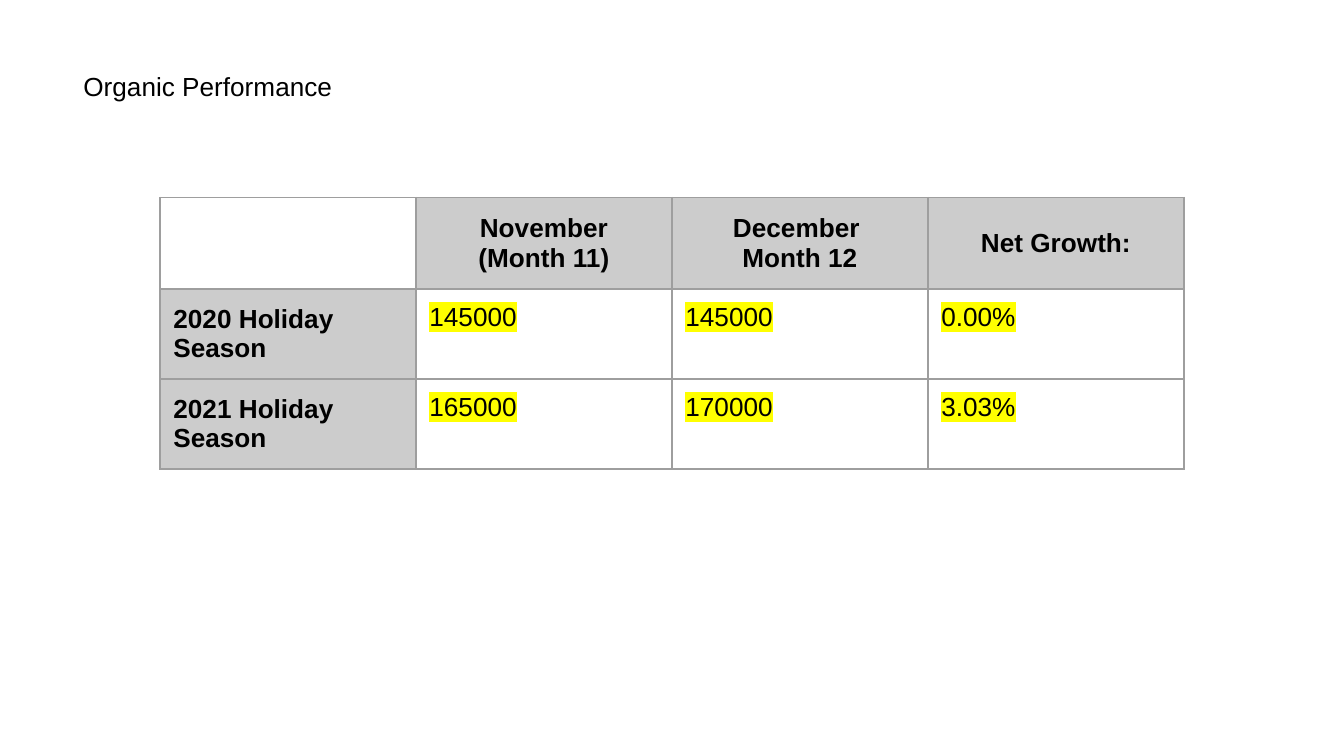
from lxml import etree
from pptx import Presentation
from pptx.dml.color import RGBColor
from pptx.enum.text import MSO_ANCHOR, MSO_AUTO_SIZE, PP_ALIGN
from pptx.oxml.ns import qn
from pptx.util import Inches, Pt

TOP, MIDDLE = MSO_ANCHOR.TOP, MSO_ANCHOR.MIDDLE
LEFT, CENTER = PP_ALIGN.LEFT, PP_ALIGN.CENTER
FIT_SHAPE = MSO_AUTO_SIZE.SHAPE_TO_FIT_TEXT
TITLE_ONLY = 5

BLACK = RGBColor(0x00, 0x00, 0x00)
HEADER_GRAY = RGBColor(0xCC, 0xCC, 0xCC)
BORDER_GRAY = RGBColor(0x9E, 0x9E, 0x9E)
YELLOW = RGBColor(0xFF, 0xFF, 0x00)
FONT_NAME, FONT_SIZE = "Arial", Pt(14)
BORDER_WIDTH = Pt(0.75)
INSET = Inches(0.1)
SLIDE_WIDTH = Inches(10)
SLIDE_HEIGHT = SLIDE_WIDTH * 9 // 16

ROWS = [
    ["", "November\n(Month 11)", "December \nMonth 12", "Net Growth:"],
    ["2020 Holiday Season", "145000", "145000", "0.00%"],
    ["2021 Holiday Season", "165000", "170000", "3.03%"],
]
ROW_HEIGHTS = [0.68, 0.67, 0.67]


def set_insets(holder):
    holder.margin_left = holder.margin_right = INSET
    holder.margin_top = holder.margin_bottom = INSET


def format_text(text_frame, alignment=LEFT, bold=False, highlight=None):
    for paragraph in text_frame.paragraphs:
        paragraph.alignment = alignment
        for run in paragraph.runs:
            run.font.name, run.font.size = FONT_NAME, FONT_SIZE
            run.font.bold = bold
            run.font.color.rgb = BLACK
            if highlight is not None:
                add_highlight(run, highlight)


def add_highlight(run, color):
    properties = run.font._element
    highlight = etree.Element(qn("a:highlight"))
    etree.SubElement(highlight, qn("a:srgbClr"), val=str(color))
    properties.find(qn("a:latin")).addprevious(highlight)


def add_borders(cell):
    properties = cell._tc.get_or_add_tcPr()
    for index, side in enumerate(("lnL", "lnR", "lnT", "lnB")):
        line = etree.Element(qn(f"a:{side}"), w=str(BORDER_WIDTH))
        fill = etree.SubElement(line, qn("a:solidFill"))
        etree.SubElement(fill, qn("a:srgbClr"), val=str(BORDER_GRAY))
        properties.insert(index, line)


def place_title(slide, left, top, width, height):
    title = slide.shapes.title
    title.left, title.top, title.width, title.height = left, top, width, height
    text_frame = title.text_frame
    text_frame.text = "Organic Performance"
    text_frame.word_wrap = True
    text_frame.auto_size = FIT_SHAPE
    text_frame.vertical_anchor = TOP
    set_insets(text_frame)
    format_text(text_frame)


def fill_cell(cell, text, row_index, column_index):
    is_header = bool(text) and (row_index == 0 or column_index == 0)
    cell.text = text
    set_insets(cell)
    if is_header:
        cell.fill.solid()
        cell.fill.fore_color.rgb = HEADER_GRAY
    else:
        cell.fill.background()
    cell.vertical_anchor = MIDDLE if is_header else TOP
    format_text(
        cell.text_frame,
        alignment=CENTER if row_index == 0 else LEFT,
        bold=is_header,
        highlight=None if is_header else YELLOW,
    )
    add_borders(cell)


def add_performance_table(slide, left, top, width, height):
    column_count = len(ROWS[0])
    frame = slide.shapes.add_table(len(ROWS), column_count, left, top, width, height)
    table = frame.table
    table.first_row = table.horz_banding = False
    for column in table.columns:
        column.width = width // column_count
    for row_index, texts in enumerate(ROWS):
        table.rows[row_index].height = Inches(ROW_HEIGHTS[row_index])
        for column_index, text in enumerate(texts):
            fill_cell(table.cell(row_index, column_index), text, row_index, column_index)


def main():
    presentation = Presentation()
    presentation.slide_width = SLIDE_WIDTH
    presentation.slide_height = SLIDE_HEIGHT
    slide = presentation.slides.add_slide(presentation.slide_layouts[TITLE_ONLY])
    place_title(slide, Inches(0.52), Inches(0.42), Inches(5.2), Inches(0.44))
    add_performance_table(
        slide, Inches(1.19), Inches(1.47), Inches(7.62), Inches(sum(ROW_HEIGHTS))
    )
    presentation.save("out.pptx")


if __name__ == "__main__":
    main()
